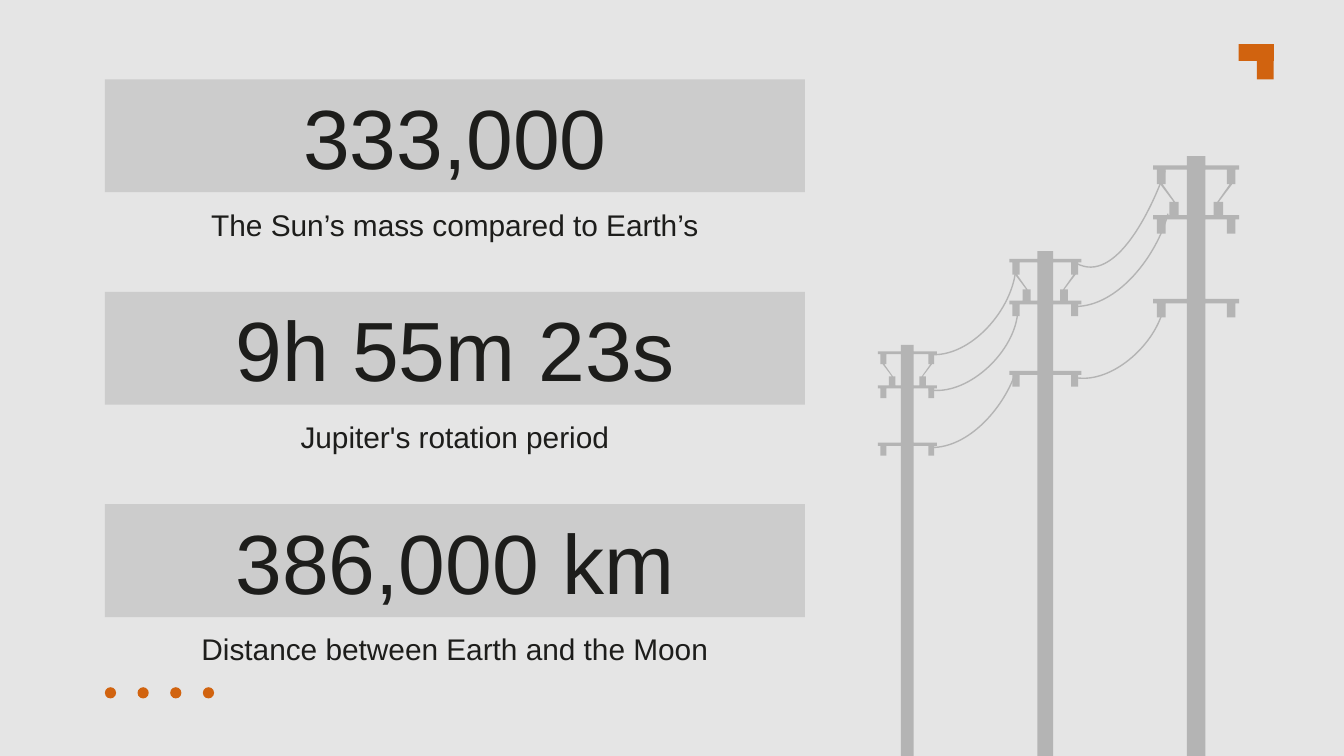
from copy import deepcopy
from dataclasses import dataclass

from lxml import etree
from pptx import Presentation
from pptx.dml.color import RGBColor
from pptx.enum import shapes, text
from pptx.oxml.ns import qn
from pptx.util import Pt

HUES = {"back": "E5E5E5", "card": "CCCCCC", "ink": "1D1D1B",
        "pole": "B4B4B4", "mark": "D1630F"}
FRAME = {"word_wrap": True, "auto_size": text.MSO_AUTO_SIZE.NONE,
         "margin_left": Pt(7.2), "margin_right": Pt(7.2),
         "margin_top": Pt(7.2), "margin_bottom": Pt(7.2)}
LEFT, WIDTH = 56.2, 375
TOP, STEP = 42.5, 113.8

# Right half of the tallest pole, measured from the middle of its top
SIDE = [(5, 0), (5, 5), (23, 5), (23, 7.3), (21, 7.3), (21, 15), (19.4, 15),
        (12.2, 24.5), (14.4, 24.5), (14.4, 31.7), (23, 31.7), (23, 34),
        (21, 34), (21, 41.6), (16.4, 41.6), (16.4, 34), (5, 34), (5, 76.5),
        (23, 76.5), (23, 79), (21, 79), (21, 86.5), (16.4, 86.5), (16.4, 79),
        (5, 79), (5, 322)]
HOLE = [(5, 31.7), (9.4, 31.7), (9.4, 24.5), (11.3, 24.5), (18, 15),
        (16.4, 15), (16.4, 7.3), (5, 7.3)]


@dataclass
class Fact:
    value: str
    note: str


@dataclass
class Pole:
    mid: float
    top: float
    size: float


@dataclass
class Wire:
    """A cubic curve: start, two control points, end."""
    points: list[tuple[float, float]]


FACTS = [Fact("333,000", "The Sun’s mass compared to Earth’s"),
         Fact("9h 55m 23s", "Jupiter's rotation period"),
         Fact("386,000 km", "Distance between Earth and the Moon")]
POLES = [Pole(560, 134.5, 0.84), Pole(486.1, 184.8, 0.685),
         Pole(640.8, 83.6, 1)]
WIRES = [Wire([(500.4, 190), (522, 190), (544.3, 163.4), (544.3, 141.1)]),
         Wire([(576.7, 141.1), (597.6, 152.6), (617, 112.3), (624.2, 91.4)]),
         Wire([(576, 164.2), (599, 164.2), (619.9, 136.8), (625.7, 114.5)]),
         Wire([(499, 239.8), (519.1, 239.8), (537.1, 218.9), (543.6, 200.9)]),
         Wire([(497.5, 208.8), (517.7, 212.4), (542.2, 190), (545, 169.2)]),
         Wire([(576, 202.3), (596.2, 205.9), (619.9, 183.6), (623.5, 164.2)])]


def hue(name: str) -> RGBColor:
    return RGBColor.from_string(HUES[name])


def paint(shape, name: str) -> None:
    shape.shadow.inherit = False
    shape.fill.solid()
    shape.fill.fore_color.rgb = hue(name)
    shape.line.fill.background()


def place(shape, *box: float) -> None:
    for side, size in zip(("left", "top", "width", "height"), box):
        setattr(shape, side, Pt(size))


def write(shape, words: str, size: float, anchor) -> None:
    frame = shape.text_frame
    for key, val in FRAME.items():
        setattr(frame, key, val)
    frame.vertical_anchor = anchor
    para = frame.paragraphs[0]
    para.text = words
    para.alignment = text.PP_ALIGN.CENTER
    para.space_before = Pt(0)
    look = {"name": "Arial", "size": Pt(size), "bold": False}
    for key, val in look.items():
        setattr(para.font, key, val)
    para.font.color.rgb = hue("ink")


def clone(slide, holder):
    """Add another placeholder of the same type."""
    node = deepcopy(holder.element)
    num = max(item.shape_id for item in slide.shapes) + 1
    slide.shapes.element.append(node)
    twin = slide.shapes[-1]
    node.nvSpPr.cNvPr.set("id", str(num))
    twin.name = f"{holder.name} {num}"
    return twin


def draw_fact(fact: Fact, top: float, head, sub) -> None:
    place(head, LEFT, top, WIDTH, 60.5)
    paint(head, "card")
    write(head, fact.value, 45, text.MSO_ANCHOR.MIDDLE)
    place(sub, LEFT, top + 60.8, WIDTH, 32.4)
    write(sub, fact.note, 16, text.MSO_ANCHOR.TOP)


def draw_mark(slide, kind, *box: float) -> None:
    paint(slide.shapes.add_shape(kind, *map(Pt, box)), "mark")


def draw_pole(slide, pole: Pole) -> None:
    def fit(points, sign=1):
        return [(Pt(pole.mid + sign * x * pole.size),
                 Pt(pole.top + y * pole.size)) for x, y in points]

    rings = [fit(SIDE) + fit(SIDE[::-1], -1), fit(HOLE), fit(HOLE, -1)]
    pen = slide.shapes.build_freeform(*rings[0][0])
    pen.add_line_segments(rings[0][1:])
    for ring in rings[1:]:
        pen.move_to(*ring[0])
        pen.add_line_segments(ring[1:])
    paint(pen.convert_to_shape(), "pole")


def draw_wire(slide, wire: Wire) -> None:
    curve = [(Pt(x), Pt(y)) for x, y in wire.points]
    pen = slide.shapes.build_freeform(*curve[0])
    pen.add_line_segments(curve[-1:], close=False)
    shape = pen.convert_to_shape()
    shape.shadow.inherit = False
    shape.fill.background()
    shape.line.color.rgb = hue("pole")
    shape.line.width = Pt(0.75)
    line = next(shape.element.iter(qn("a:lnTo")))
    line.clear()
    line.tag = qn("a:cubicBezTo")
    for x, y in curve[1:]:
        etree.SubElement(line, qn("a:pt"), x=str(x - shape.left),
                         y=str(y - shape.top))


def main() -> None:
    deck = Presentation()
    deck.slide_width, deck.slide_height = Pt(720), Pt(405)
    slide = deck.slides.add_slide(deck.slide_layouts[0])
    slide.background.fill.solid()
    slide.background.fill.fore_color.rgb = hue("back")

    heads, subs = [[holder] + [clone(slide, holder) for _ in FACTS[1:]]
                   for holder in list(slide.placeholders)]
    for i, (fact, head, sub) in enumerate(zip(FACTS, heads, subs)):
        draw_fact(fact, TOP + i * STEP, head, sub)

    kinds = shapes.MSO_SHAPE
    draw_mark(slide, kinds.RECTANGLE, 673.4, 23.6, 9, 18.9)
    draw_mark(slide, kinds.RECTANGLE, 663.5, 23.6, 18.9, 9)
    for i in range(4):
        draw_mark(slide, kinds.OVAL, LEFT + i * 17.5, 368.2, 6, 6)

    for pole in POLES:
        draw_pole(slide, pole)
    for wire in WIRES:
        draw_wire(slide, wire)
    deck.save("out.pptx")


if __name__ == "__main__":
    main()
